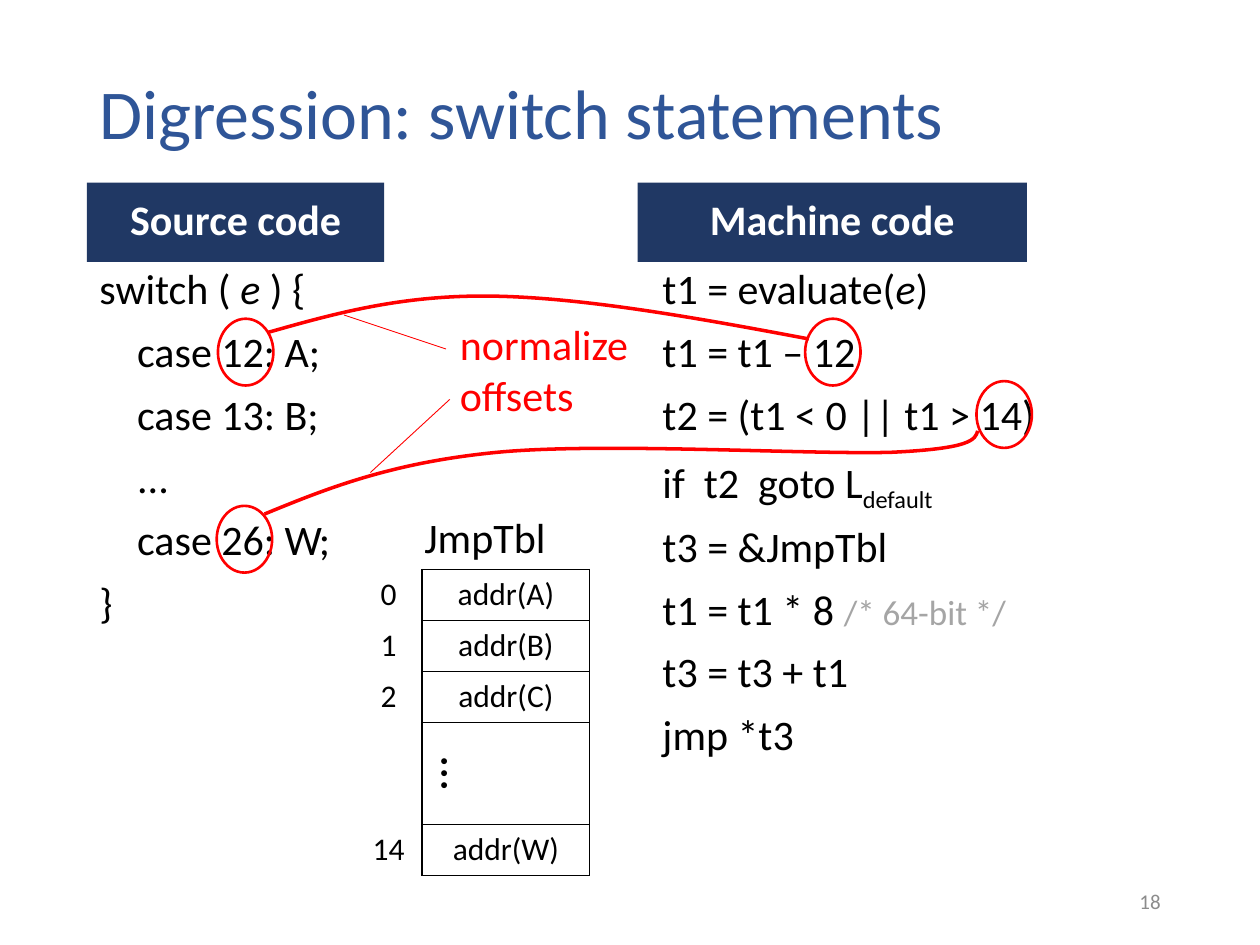
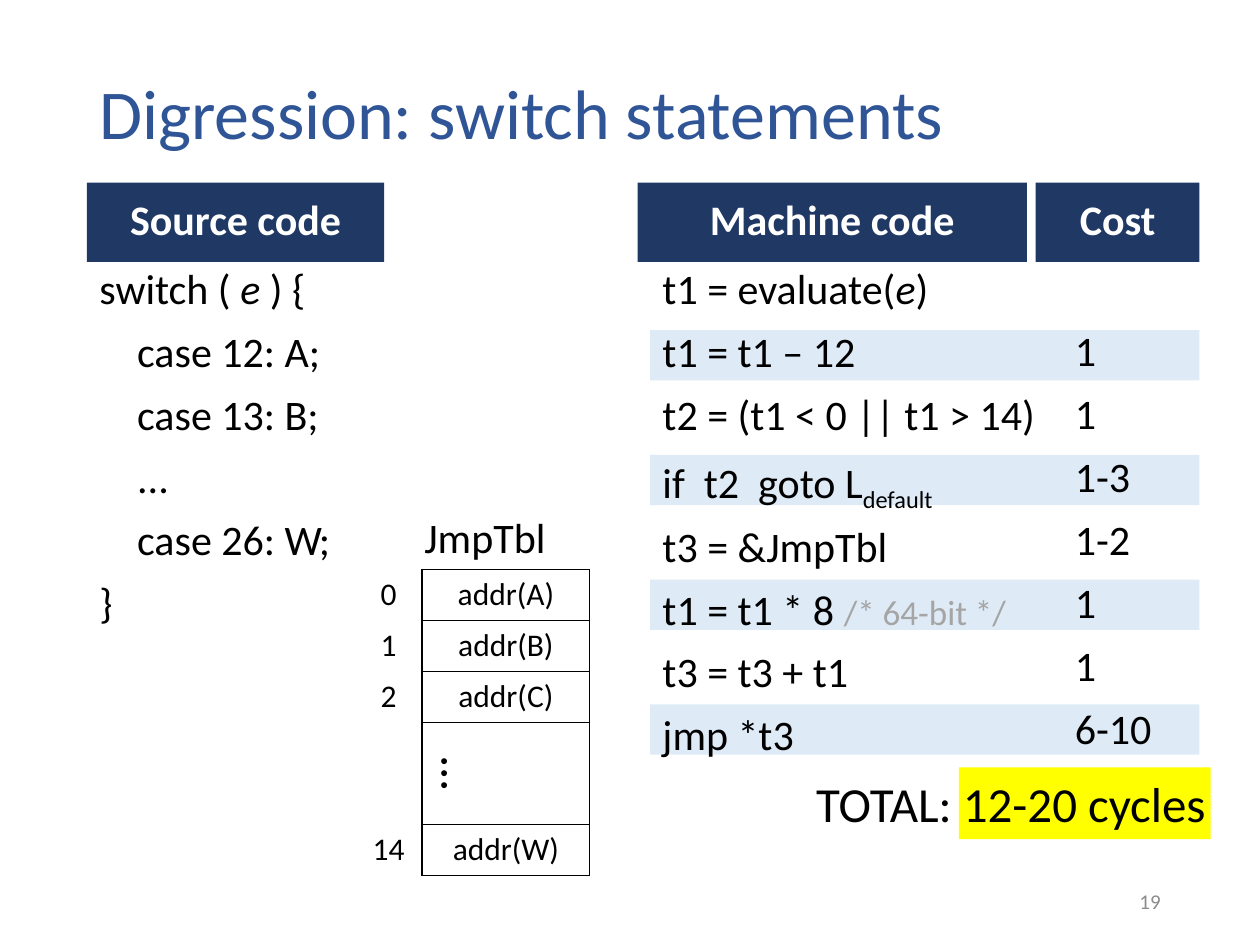
"""Build two slides on compiling switch statements to a jump table."""
from lxml import etree
from pptx import Presentation, util as u
from pptx.dml.color import RGBColor
from pptx.enum import shapes, text
from pptx.oxml import ns

FONT = "Calibri"
BLUE, NAVY, PALE = "2F5597", "203864", "DEEBF7"
BLACK, WHITE, GREY, PAGE_GREY = "000000", "FFFFFF", "A5A5A5", "8C8C8C"
RED, YELLOW = "FF0000", "FFFF00"
LEFT, CENTER, RIGHT = text.PP_ALIGN.LEFT, text.PP_ALIGN.CENTER, text.PP_ALIGN.RIGHT
MIDDLE, TOP = text.MSO_ANCHOR.MIDDLE, text.MSO_ANCHOR.TOP

TITLE = "Digression: switch statements"
FIRST_PAGE = 18
ITALIC = {"italic": True}
SOURCE_CODE = [
    (0, [("switch ( ", {}), ("e", ITALIC), (" ) {", {})]),
    (1, "case 12: A;"),
    (1, "case 13: B;"),
    (1, "..."),
    (1, "case 26: W;"),
    (0, "}"),
]
MACHINE_CODE = [
    [("t1 = evaluate(", {}), ("e", ITALIC), (")", {})],
    "t1 = t1 – 12",
    "t2 = (t1 < 0 || t1 > 14)",
    [("if  t2  goto L", {}), ("default", {"baseline": -25000})],
    "t3 = &JmpTbl",
    [("t1 = t1 * 8 ", {}), ("/* 64-bit */", {"size": 20, "color": GREY})],
    "t3 = t3 + t1",
    "jmp *t3",
]
COSTS = ["1", "1", "1-3", "1-2", "1", "1", "6-10"]
TOTAL = "TOTAL: 12-20 cycles"
JUMP_TABLE = [("0", "addr(A)"), ("1", "addr(B)"), ("2", "addr(C)"),
              ("", "..."), ("14", "addr(W)")]
SOURCE_BAND = ("Source code", 0.69, 2.36)
MACHINE_BAND = ("Machine code", 5.06, 3.09)
COST_BAND = ("Cost", 8.22, 1.3)

BAND_TOP, BAND_HEIGHT = 1.45, 0.63
CODE_TOP, CODE_HEIGHT = BAND_TOP + BAND_HEIGHT, 4.69
CODE_ROW = 0.99 / 2
INDENT = 0.3
TABLE_TOP, TABLE_ROW = 4.52, 0.405
CIRCLE_TOP, CIRCLE_SIZE = 2.53, (0.44, 0.53)
CIRCLES = [(1.73, 0), (6.39, 0), (1.72, 3), (7.75, 1)]
CURVES = [
    [(2.12, 2.64), (2.65, 2.49), (3.18, 2.34), (3.9, 2.35),
     (4.62, 2.36), (5.52, 2.52), (6.42, 2.69)],
    [(2.1, 4.08), (2.61, 3.87), (3.12, 3.67), (3.95, 3.59), (4.78, 3.51),
     (6.44, 3.61), (7.08, 3.59), (7.71, 3.56), (7.74, 3.49), (7.76, 3.42)],
]
LEADERS = [(2.73, 2.5, 3.54, 2.77), (2.94, 3.75, 3.57, 3.17)]


def inches(*lengths):
    return [u.Inches(length) for length in lengths]


def rgb(color):
    return RGBColor.from_string(color)


def style_font(font, size=None, color=None, bold=None, italic=None):
    font.name = FONT
    if size:
        font.size = u.Pt(size)
    if color:
        font.color.rgb = rgb(color)
    if bold is not None:
        font.bold = bold
    if italic is not None:
        font.italic = italic


def write(frame, lines, size=24, color=BLACK, bold=False, align=LEFT, code=False):
    for number, line in enumerate(lines):
        depth, content = line if isinstance(line, tuple) else (0, line)
        runs = [(content, {})] if isinstance(content, str) else content
        paragraph = frame.paragraphs[0] if number == 0 else frame.add_paragraph()
        paragraph.alignment = align
        if code:
            paragraph.line_spacing = 0.9
            paragraph.space_before = u.Pt(10)
        if depth:
            paragraph._p.get_or_add_pPr().set("marL", str(u.Inches(depth * INDENT)))
        style_font(paragraph.font, size, color, bold)
        for words, look in runs:
            run = paragraph.add_run()
            run.text = words
            look = dict(look)
            baseline = look.pop("baseline", None)
            if look:
                style_font(run.font, **look)
            if baseline:
                run._r.get_or_add_rPr().set("baseline", str(baseline))


def add_text(slide, box, lines, left=0.1, right=0.1, anchor=TOP, wrap=True, **look):
    frame = slide.shapes.add_textbox(*inches(*box)).text_frame
    frame.word_wrap = wrap
    frame.vertical_anchor = anchor
    frame.margin_left, frame.margin_right = inches(left, right)
    write(frame, lines, **look)


def finish(shape, fill=None, line=None, width=1.5):
    shape.shadow.inherit = False
    if fill:
        shape.fill.solid()
        shape.fill.fore_color.rgb = rgb(fill)
    else:
        shape.fill.background()
    if line:
        shape.line.color.rgb = rgb(line)
        shape.line.width = u.Pt(width)
    else:
        shape.line.fill.background()
    return shape


def add_block(slide, box, fill):
    rectangle = shapes.MSO_SHAPE.RECTANGLE
    return finish(slide.shapes.add_shape(rectangle, *inches(*box)), fill)


def add_band(slide, heading, left, width):
    frame = add_block(slide, (left, BAND_TOP, width, BAND_HEIGHT), NAVY).text_frame
    frame.vertical_anchor = MIDDLE
    write(frame, [heading], color=WHITE, bold=True, align=CENTER, code=True)


def add_borders(cell):
    properties = cell._tc.get_or_add_tcPr()
    for side in ("a:lnL", "a:lnR", "a:lnT", "a:lnB"):
        border = etree.SubElement(properties, ns.qn(side), w=str(u.Pt(1)))
        fill = etree.SubElement(border, ns.qn("a:solidFill"))
        etree.SubElement(fill, ns.qn("a:srgbClr"), val=BLACK)


def add_column(slide, left, width, entries, bordered):
    heights = [TABLE_ROW * (2 if not index else 1) for index, _ in JUMP_TABLE]
    box = inches(left, TABLE_TOP, width, sum(heights))
    table = slide.shapes.add_table(len(entries), 1, *box).table
    table.first_row = table.horz_banding = False
    for row, (entry, height) in enumerate(zip(entries, heights)):
        table.rows[row].height = u.Inches(height)
        cell = table.cell(row, 0)
        if bordered:
            add_borders(cell)
        else:
            cell.margin_left = cell.margin_right = 0
        cell.fill.background()
        dots = entry == "..."
        if dots:
            cell.vertical_anchor = MIDDLE
            cell._tc.get_or_add_tcPr().set("vert", "vert")
        if entry:
            write(cell.text_frame, [entry], size=28 if dots else 18, align=CENTER)


def add_curve(slide, points):
    start, *rest = [inches(*point) for point in points]
    builder = slide.shapes.build_freeform(*start)
    builder.add_line_segments(rest, close=False)
    curve = finish(builder.convert_to_shape(), line=RED, width=2)
    segments = list(curve._element.iter(ns.qn("a:lnTo")))
    for first in range(0, len(segments), 3):
        bezier = etree.SubElement(segments[0].getparent(), ns.qn("a:cubicBezTo"))
        for segment in segments[first:first + 3]:
            bezier.append(segment[0])
    for segment in segments:
        segment.getparent().remove(segment)


def add_leader(slide, ends):
    straight = shapes.MSO_CONNECTOR.STRAIGHT
    leader = slide.shapes.add_connector(straight, *inches(*ends))
    leader.line.color.rgb = rgb(RED)
    leader.line.width = u.Pt(0.5)
    etree.SubElement(leader._element.spPr, ns.qn("a:effectLst"))


def add_base(slide, page):
    title = slide.shapes.title
    title.left, title.top, title.width, title.height = inches(0.69, 0.4, 8.62, 1.05)
    title.text_frame.vertical_anchor = MIDDLE
    write(title.text_frame, [TITLE], size=40, color=BLUE)
    title.text_frame.paragraphs[0].line_spacing = 0.9
    add_band(slide, *SOURCE_BAND)
    add_text(slide, (0.69, CODE_TOP, 3.1, CODE_HEIGHT), SOURCE_CODE, code=True)
    add_band(slide, *MACHINE_BAND)
    add_text(slide, (5.16, CODE_TOP, 3.17, CODE_HEIGHT), MACHINE_CODE,
             right=0, code=True)
    add_text(slide, (7.06, 6.95, 2.25, 0.4), [str(page)], anchor=MIDDLE,
             size=12, color=PAGE_GREY, align=RIGHT)
    indexes, addresses = zip(*JUMP_TABLE)
    add_column(slide, 3.35, 1.33, addresses, bordered=True)
    add_text(slide, (3.27, 4.01, 1.17, 0.5), ["JmpTbl"], wrap=False)
    add_column(slide, 2.87, 0.43, indexes, bordered=False)


def add_offsets(slide):
    for left, row in CIRCLES:
        box = inches(left, CIRCLE_TOP + row * CODE_ROW, *CIRCLE_SIZE)
        finish(slide.shapes.add_shape(shapes.MSO_SHAPE.OVAL, *box), line=RED)
    for points in CURVES:
        add_curve(slide, points)
    add_text(slide, (3.65, 2.48, 1.5, 0.91), ["normalize", "offsets"],
             left=0, right=0, color=RED)
    for ends in LEADERS:
        add_leader(slide, ends)


def add_stripes(slide):
    add_block(slide, (7.61, 6.09, 2, 0.57), YELLOW)
    for row in range(0, len(COSTS), 2):
        add_block(slide, (5.16, 2.62 + row * CODE_ROW, 4.36, 0.4), PALE)


def add_costs(slide):
    add_band(slide, *COST_BAND)
    add_text(slide, (8.33, CODE_TOP + CODE_ROW, 0.98, CODE_HEIGHT - CODE_ROW), COSTS,
             left=0.2, right=0, code=True)
    add_text(slide, (6.38, 6.09, 3.33, 0.57), [TOTAL], wrap=False, size=28)


def main():
    deck = Presentation()
    deck.slide_width, deck.slide_height = inches(10, 7.5)
    title_only = deck.slide_layouts[5]
    offsets = deck.slides.add_slide(title_only)
    add_base(offsets, FIRST_PAGE)
    add_offsets(offsets)
    costs = deck.slides.add_slide(title_only)
    add_stripes(costs)
    add_base(costs, FIRST_PAGE + 1)
    add_costs(costs)
    deck.save("out.pptx")


if __name__ == "__main__":
    main()
